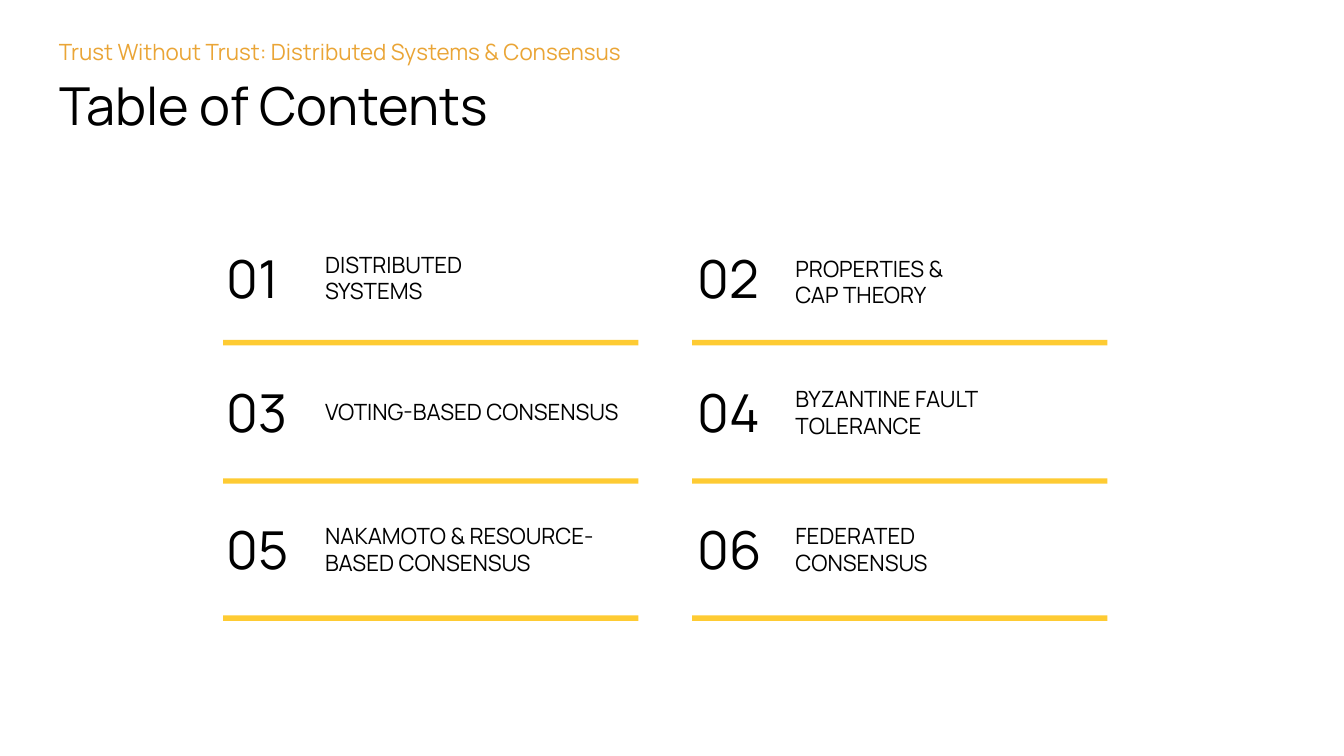
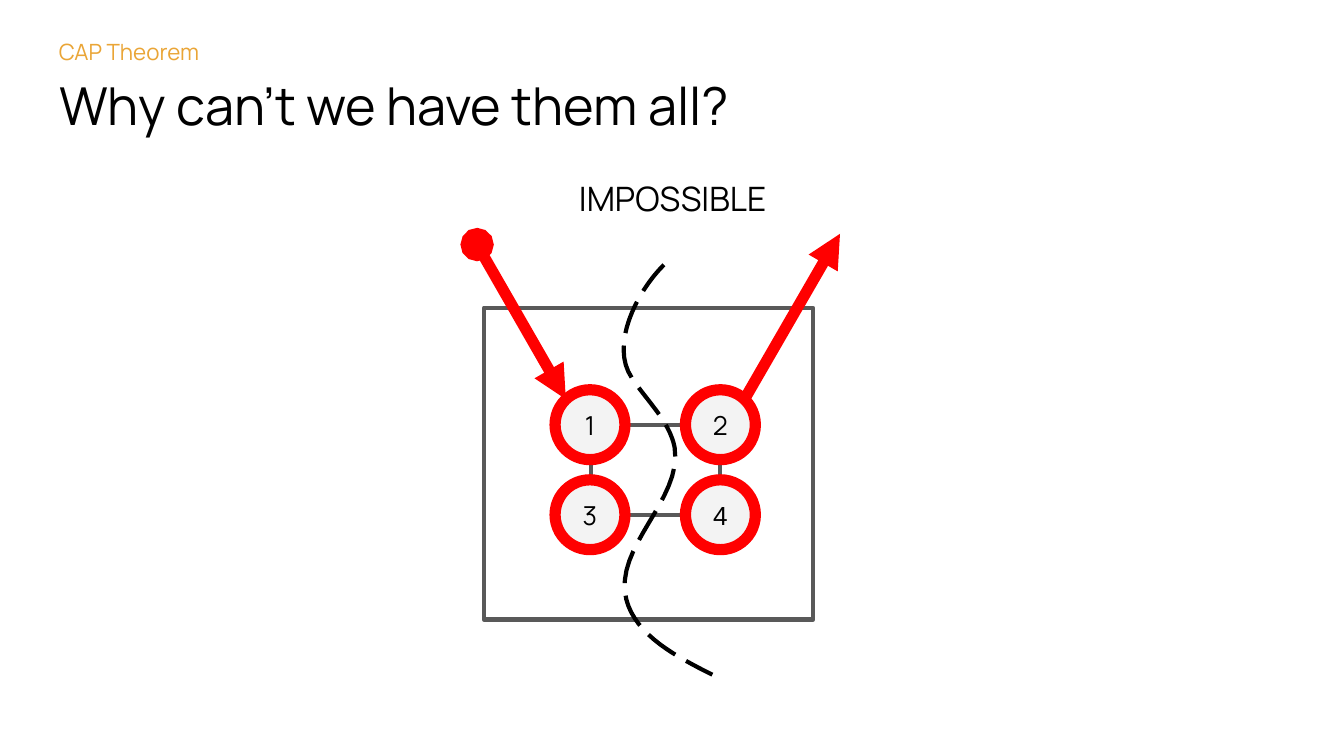
from lxml.etree import SubElement
from pptx import Presentation
from pptx.dml.color import RGBColor
from pptx.enum.dml import MSO_LINE
from pptx.enum.shapes import MSO_CONNECTOR, MSO_SHAPE
from pptx.enum.text import MSO_ANCHOR, MSO_AUTO_SIZE, PP_ALIGN
from pptx.oxml.ns import qn
from pptx.util import Pt

PX = 9144  # 100 px to the inch
FONT = "Manrope"
BLACK, AMBER, YELLOW = "000000", "EAA536", "FECB33"
GREY, PALE, RED = "595959", "F3F3F3", "FF0000"


def color(value):
    return RGBColor.from_string(value)


def write(sp, text, size, fill=BLACK, align=PP_ALIGN.LEFT,
          anchor=MSO_ANCHOR.MIDDLE, spacing=None, font=FONT):
    """Fill a shape with one paragraph; a newline becomes a line break."""
    tf = sp.text_frame
    tf.word_wrap = True
    tf.auto_size = MSO_AUTO_SIZE.NONE
    tf.vertical_anchor = anchor
    tf.margin_left = tf.margin_right = tf.margin_top = tf.margin_bottom = 10 * PX
    p = tf.paragraphs[0]
    p.alignment = align
    p.line_spacing = spacing
    for i, line in enumerate(text.split("\n")):
        if i:
            p.add_line_break()
        r = p.add_run()
        r.text = line
        r.font.name = font
        r.font.size = Pt(size)
        r.font.color.rgb = color(fill)


prs = Presentation()
prs.slide_width = 1000 * PX
prs.slide_height = 5143500

# Headings shared by both slides
slides = []
for topic, heading in [
    ("Trust Without Trust: Distributed Systems & Consensus", "Table of Contents"),
    ("CAP Theorem", "Why can’t we have them all?"),
]:
    s = prs.slides.add_slide(prs.slide_layouts[5])
    title = s.shapes.title
    title.left, title.top, title.width, title.height = 34 * PX, 50 * PX, 929 * PX, 63 * PX
    write(title, heading, 28, anchor=MSO_ANCHOR.TOP, spacing=0.9)
    sp = s.shapes.add_textbox(34 * PX, 21 * PX, 929 * PX, 43 * PX)
    write(sp, topic, 12, AMBER, anchor=MSO_ANCHOR.TOP, spacing=0.9)
    slides.append(s)
contents, cap = slides

# Slide 1: two columns of numbered chapters, each above a bar
chapters = [
    ("DISTRIBUTED\nSYSTEMS", 189),
    ("PROPERTIES &\nCAP THEORY", 192),
    ("VOTING-BASED CONSENSUS", 289),
    ("BYZANTINE FAULT\nTOLERANCE", 289),
    ("NAKAMOTO & RESOURCE-BASED CONSENSUS", 391),
    ("FEDERATED\nCONSENSUS", 391),
]
number_tops = [159, 259, 361]
bar_tops = [253, 356, 458]
for i, (chapter, label_top) in enumerate(chapters):
    row, col = divmod(i, 2)
    x = 159 + 350 * col
    sp = contents.shapes.add_textbox(x * PX, number_tops[row] * PX, 90 * PX, 95 * PX)
    write(sp, f"{i + 1:02}", 28)
    sp = contents.shapes.add_textbox((x + 73) * PX, label_top * PX, 259 * PX, 35 * PX)
    write(sp, chapter, 12)
    bar = contents.shapes.add_shape(
        MSO_SHAPE.RECTANGLE, (166 + 349 * col) * PX, bar_tops[row] * PX, 309 * PX, 4 * PX)
    bar.shadow.inherit = False
    bar.fill.solid()
    bar.fill.fore_color.rgb = color(YELLOW)
    bar.line.fill.background()

# Slide 2: a network of four nodes, split by a partition
frame = cap.shapes.add_shape(MSO_SHAPE.RECTANGLE, 360 * PX, 229 * PX, 245 * PX, 232 * PX)
frame.shadow.inherit = False
frame.fill.background()
frame.line.color.rgb = color(GREY)
frame.line.width = Pt(2.25)

# Links between nodes, then the request and the response
for x1, y1, x2, y2, stroke, width, head, tail in [
    (466, 316, 510, 316, GREY, 2.25, None, None),
    (440, 342, 440, 357, GREY, 2.25, None, None),
    (466, 383, 510, 383, GREY, 2.25, None, None),
    (536, 342, 536, 357, GREY, 2.25, None, None),
    (355, 182, 421, 297, RED, 6, "oval", "triangle"),
    (554, 297, 625, 174, RED, 6, None, "triangle"),
]:
    cxn = cap.shapes.add_connector(MSO_CONNECTOR.STRAIGHT, x1 * PX, y1 * PX, x2 * PX, y2 * PX)
    cxn.line.color.rgb = color(stroke)
    cxn.line.width = Pt(width)
    ln = cxn.line._get_or_add_ln()
    for tag, end in [("a:headEnd", head), ("a:tailEnd", tail)]:
        if end:
            SubElement(ln, qn(tag), type=end)
    SubElement(cxn._element.spPr, qn("a:effectLst"))

for i in range(4):
    row, col = divmod(i, 2)
    node = cap.shapes.add_shape(
        MSO_SHAPE.OVAL, (413 + 97 * col) * PX, (290 + 67 * row) * PX, 52 * PX, 52 * PX)
    node.shadow.inherit = False
    node.fill.solid()
    node.fill.fore_color.rgb = color(PALE)
    node.line.color.rgb = color(RED)
    node.line.width = Pt(6)
    write(node, str(i + 1), 14, align=PP_ALIGN.CENTER, font="Arial" if i == 3 else FONT)

# The partition is a chain of Bézier curves, sampled into short segments
start = (494, 197)
curves = [
    [(473, 218), (454, 257), (470, 281)],
    [(481, 298), (498, 313), (502, 333)],
    [(508, 372), (456, 407), (466, 446)],
    [(473, 473), (504, 489), (530, 502)],
]
STEPS = 16
points = []
a = start
for b, c, d in curves:
    for step in range(1, STEPS + 1):
        t = step / STEPS
        u = 1 - t
        points.append(tuple(
            round((u**3 * a[k] + 3 * u * u * t * b[k] + 3 * u * t * t * c[k] + t**3 * d[k]) * PX)
            for k in (0, 1)))
    a = d
builder = cap.shapes.build_freeform(start[0] * PX, start[1] * PX)
builder.add_line_segments(points, close=False)
partition = builder.convert_to_shape()
partition.shadow.inherit = False
partition.fill.background()
partition.line.color.rgb = color(BLACK)
partition.line.width = Pt(2.25)
partition.line.dash_style = MSO_LINE.LONG_DASH

sp = cap.shapes.add_textbox(296 * PX, 118 * PX, 409 * PX, 52 * PX)
write(sp, "IMPOSSIBLE", 18, align=PP_ALIGN.CENTER, anchor=MSO_ANCHOR.TOP, spacing=1.15)

prs.save("out.pptx")
